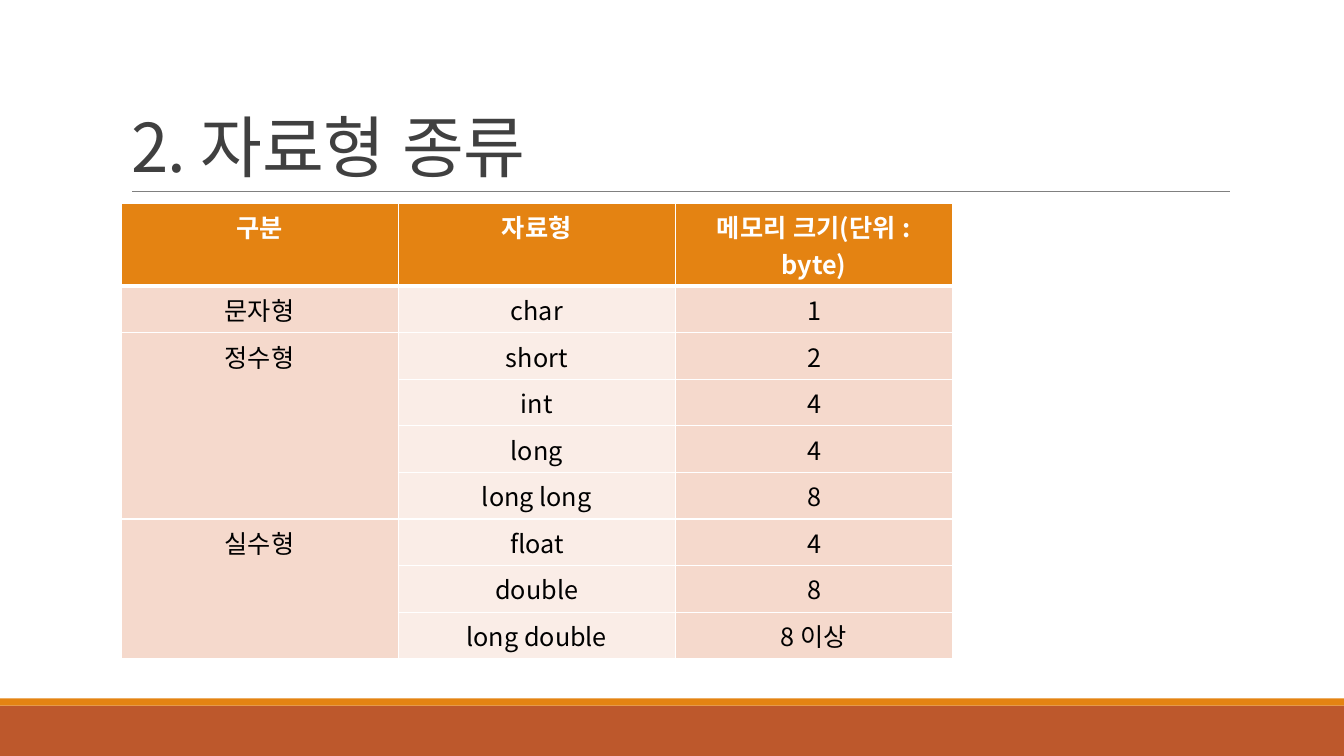
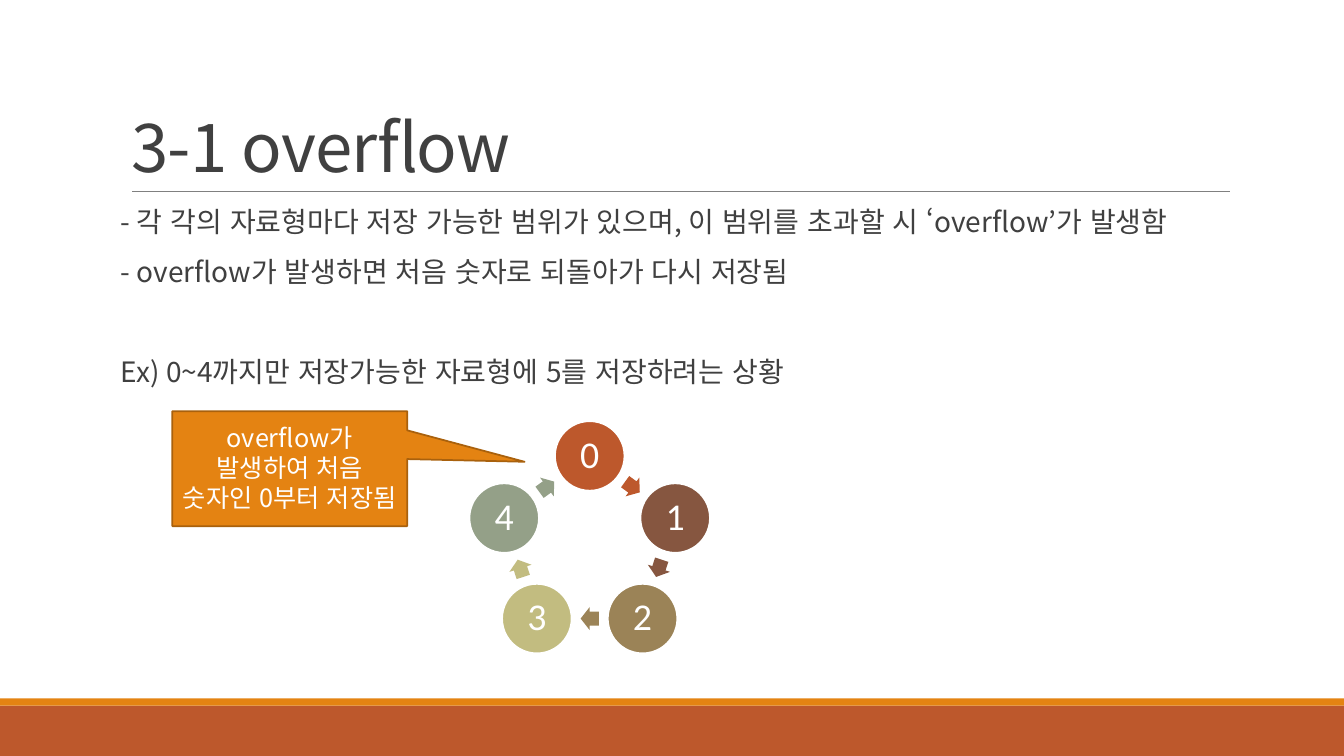
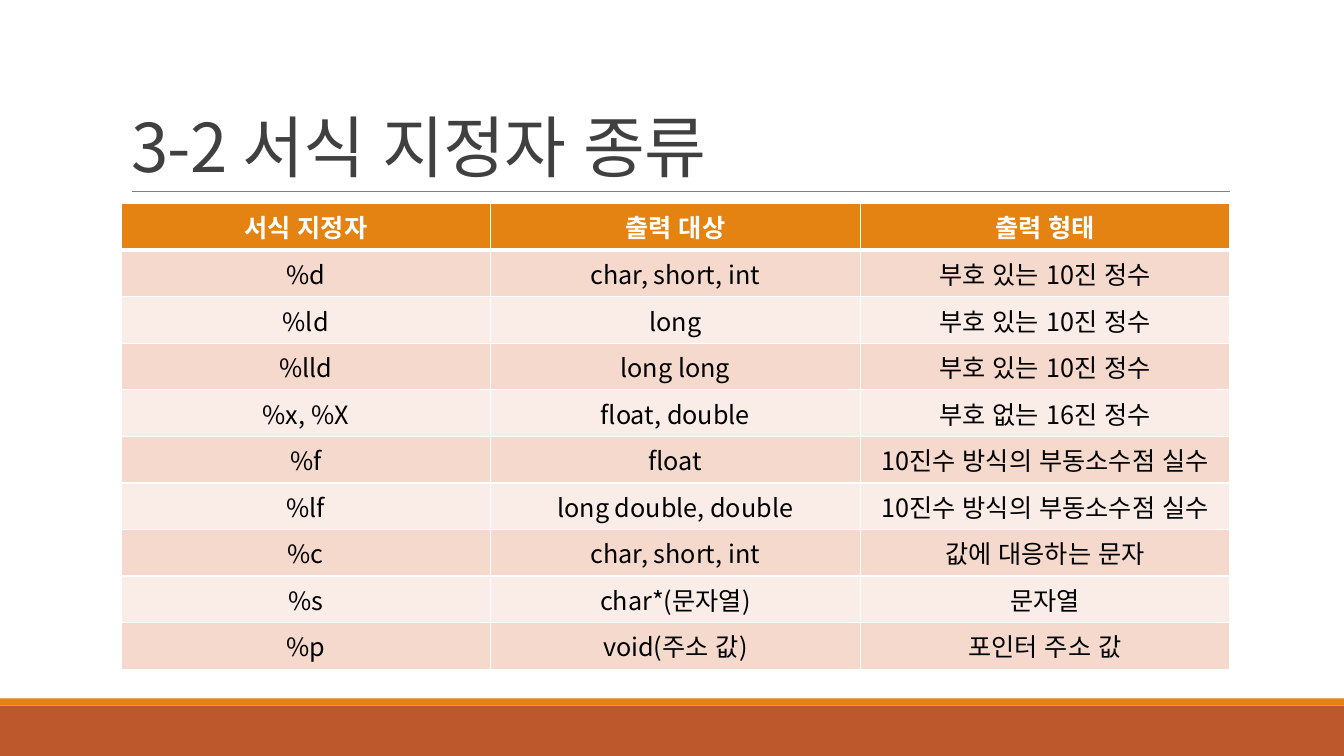
from dataclasses import dataclass
from math import cos, pi, sin

from lxml.etree import SubElement
from pptx import Presentation
from pptx.dml.color import RGBColor
from pptx.enum.lang import MSO_LANGUAGE_ID
from pptx.enum.shapes import MSO_CONNECTOR, MSO_SHAPE
from pptx.enum.text import MSO_ANCHOR, PP_ALIGN
from pptx.oxml.ns import qn
from pptx.shapes.autoshape import Shape
from pptx.slide import Slide
from pptx.table import _Cell
from pptx.text.text import TextFrame, _Paragraph
from pptx.util import Emu, Inches, Pt

WIDE, HIGH = 133.33, 75  # grid cells of a tenth of an inch
LEFT, SPAN, TOP, ROW = 12, 110, 20.2, 4.62


@dataclass(frozen=True)
class Theme:
    rust: str = "BD582C"
    gold: str = "E48312"
    edge: str = "A9610D"
    ink: str = "404040"
    rule: str = "808080"
    white: str = "FFFFFF"
    black: str = "000000"
    tints: tuple[str, ...] = ("F5D9CC", "FAEDE7")
    ring: tuple[str, ...] = ("BD582C", "865640", "9B8357", "C2BC80", "94A088")
    font: str = "Noto Sans CJK KR"
    digit: str = "Calibri"
    title: int = 48
    body: int = 20
    small: int = 18
    count: int = 27


@dataclass(frozen=True)
class Box:
    left: float
    top: float
    width: float
    height: float

    def emu(self) -> tuple[Emu, ...]:
        return tuple(cells(n) for n in (self.left, self.top, self.width, self.height))


@dataclass(frozen=True)
class Style:
    size: int
    color: str
    font: str = Theme.font
    bold: bool = False
    align: PP_ALIGN = PP_ALIGN.LEFT
    lead: float | None = None
    track: int = 0


@dataclass(frozen=True)
class Grid:
    """A table; an empty first cell joins the one above it."""
    width: float
    head: float
    rows: tuple[tuple[str, ...], ...]
    by_row: bool


THEME = Theme()
HEAD = Style(THEME.title, THEME.ink, lead=0.85, track=-50)
BODY = Style(THEME.body, THEME.ink, lead=0.9)
NOTE = Style(THEME.small, THEME.white, align=PP_ALIGN.CENTER, lead=0.99)
COUNT = Style(THEME.count, THEME.white, THEME.digit, align=PP_ALIGN.CENTER, lead=0.9)
TOP_ROW = Style(THEME.small, THEME.white, bold=True, align=PP_ALIGN.CENTER)
CELL = Style(THEME.small, THEME.black, align=PP_ALIGN.CENTER)

TYPES = Grid(82.5, 8.2, (
    ("구분", "자료형", "메모리 크기(단위 : byte)"),
    ("문자형", "char", "1"),
    ("정수형", "short", "2"),
    ("", "int", "4"),
    ("", "long", "4"),
    ("", "long long", "8"),
    ("실수형", "float", "4"),
    ("", "double", "8"),
    ("", "long double", "8 이상"),
), by_row=False)

CODES = Grid(SPAN, ROW, (
    ("서식 지정자", "출력 대상", "출력 형태"),
    ("%d", "char, short, int", "부호 있는 10진 정수"),
    ("%ld", "long", "부호 있는 10진 정수"),
    ("%lld", "long long", "부호 있는 10진 정수"),
    ("%x, %X", "float, double", "부호 없는 16진 정수"),
    ("%f", "float", "10진수 방식의 부동소수점 실수"),
    ("%lf", "long double, double", "10진수 방식의 부동소수점 실수"),
    ("%c", "char, short, int", "값에 대응하는 문자"),
    ("%s", "char*(문자열)", "문자열"),
    ("%p", "void(주소 값)", "포인터 주소 값"),
), by_row=True)

LINES = (
    "- 각 각의 자료형마다 저장 가능한 범위가 있으며, 이 범위를 초과할 시 ‘overflow’가 발생함",
    "- overflow가 발생하면 처음 숫자로 되돌아가 다시 저장됨",
    "Ex) 0~4까지만 저장가능한 자료형에 5를 저장하려는 상황",
)


def cells(n: float) -> Emu:
    return Emu(round(n * Inches(0.1)))


def rgb(code: str) -> RGBColor:
    return RGBColor.from_string(code)


def write(para: _Paragraph, text: str, style: Style) -> None:
    para.text = text
    para.alignment = style.align
    para.line_spacing = style.lead
    for run in para.runs:
        font = run.font
        font.size, font.bold, font.name = Pt(style.size), style.bold, style.font
        font.language_id = MSO_LANGUAGE_ID.KOREAN
        font.color.rgb = rgb(style.color)
        props = run._r.get_or_add_rPr()
        SubElement(props, qn("a:ea")).set("typeface", style.font)
        if style.track:
            props.set("spc", str(style.track))


def add_text(slide: Slide, box: Box) -> TextFrame:
    frame = slide.shapes.add_textbox(*box.emu()).text_frame
    frame.word_wrap = True
    return frame


def add_form(slide: Slide, kind: MSO_SHAPE, box: Box, fill: str, edge: str = "") -> Shape:
    form = slide.shapes.add_shape(kind, *box.emu())
    form.shadow.inherit = False
    form.fill.solid()
    form.fill.fore_color.rgb = rgb(fill)
    if edge:
        form.line.color.rgb = rgb(edge)
        form.line.width = Pt(1.25)
    else:
        form.line.fill.background()
    return form


def add_page(deck: Presentation, title: str) -> Slide:
    """Add a slide with the shared bands, rule and title."""
    slide = deck.slides.add_slide(deck.slide_layouts[6])
    add_form(slide, MSO_SHAPE.RECTANGLE, Box(0, 70, WIDE, 5), THEME.rust)
    add_form(slide, MSO_SHAPE.RECTANGLE, Box(0, 69.3, WIDE, 0.7), THEME.gold)
    rule = slide.shapes.add_connector(
        MSO_CONNECTOR.STRAIGHT, cells(13.1), cells(19), cells(122), cells(19))
    rule.line.color.rgb = rgb(THEME.rule)
    rule.line.width = Pt(0.5)
    SubElement(rule._element.spPr, qn("a:effectLst"))
    frame = add_text(slide, Box(LEFT + 0.05, 3.1, SPAN, 15.9))
    frame.vertical_anchor = MSO_ANCHOR.BOTTOM
    write(frame.paragraphs[0], title, HEAD)
    return slide


def add_edges(cell: _Cell, row: int) -> None:
    """Draw white borders, thicker between the head and the body."""
    props = cell._tc.get_or_add_tcPr()
    for side in "LRTB":
        thick = (row, side) in ((0, "B"), (1, "T"))
        edge = SubElement(props, qn(f"a:ln{side}"), w=str(Pt(3 if thick else 1)))
        fill = SubElement(edge, qn("a:solidFill"))
        SubElement(fill, qn("a:srgbClr"), val=THEME.white)


def add_grid(slide: Slide, grid: Grid) -> None:
    count, wide = len(grid.rows), len(grid.rows[0])
    box = Box(LEFT, TOP, grid.width, grid.head + ROW * (count - 1))
    table = slide.shapes.add_table(count, wide, *box.emu()).table
    start = 0
    for r, row in enumerate(grid.rows):
        table.rows[r].height = cells(ROW if r else grid.head)
        for c, text in enumerate(row):
            cell = table.cell(r, c)
            add_edges(cell, r)
            tint = THEME.tints[(r - 1 if grid.by_row else c) % 2]
            cell.fill.solid()
            cell.fill.fore_color.rgb = rgb(tint if r else THEME.gold)
            if text:
                write(cell.text_frame.paragraphs[0], text, CELL if r else TOP_ROW)
        if row[0]:
            start = r
        elif r + 1 == count or grid.rows[r + 1][0]:
            table.cell(start, 0).merge(table.cell(r, 0))


def add_body(slide: Slide) -> None:
    frame = add_text(slide, Box(LEFT, TOP, SPAN, 44))
    frame.margin_left = frame.margin_right = 0
    for i, text in enumerate(LINES):
        para = frame.paragraphs[0] if i == 0 else frame.add_paragraph()
        write(para, text, BODY)
        para.space_after = Pt(14)
    para.space_before = Pt(35.4)


def around(turn: float, reach: float, width: float, height: float) -> Box:
    """Box centred on the ring at a clockwise angle from its top."""
    x, y = 58.5 + reach * sin(turn), 54.15 - reach * cos(turn)
    return Box(x - width / 2, y - height / 2, width, height)


def add_ring(slide: Slide) -> None:
    step, reach = 2 * pi / len(THEME.ring), 8.92
    for i, color in enumerate(THEME.ring):
        ball = add_form(slide, MSO_SHAPE.OVAL, around(i * step, reach, 6.9, 6.9),
                        color, THEME.white)
        frame = ball.text_frame
        frame.margin_left = frame.margin_right = 0
        frame.margin_top = frame.margin_bottom = 0
        frame.vertical_anchor = MSO_ANCHOR.MIDDLE
        write(frame.paragraphs[0], str(i), COUNT)
        spot = around((i + 0.5) * step, reach * cos(step / 2), 1.8, 2.3)
        arrow = add_form(slide, MSO_SHAPE.RIGHT_ARROW, spot, color)
        arrow.adjustments[0], arrow.adjustments[1] = 0.6, 0.5
        arrow.rotation = (i + 0.5) * 360 / len(THEME.ring)


def add_note(slide: Slide) -> None:
    note = add_form(slide, MSO_SHAPE.RECTANGULAR_CALLOUT, Box(17.1, 40.8, 23.3, 11.4),
                    THEME.gold, THEME.edge)
    note.adjustments[0], note.adjustments[1] = 1, -0.06
    frame = note.text_frame
    frame.word_wrap = True
    frame.vertical_anchor = MSO_ANCHOR.MIDDLE
    write(frame.paragraphs[0], "overflow가 발생하여 처음 숫자인 0부터 저장됨", NOTE)


def main() -> None:
    deck = Presentation()
    deck.slide_width, deck.slide_height = cells(WIDE), cells(HIGH)
    add_grid(add_page(deck, "2. 자료형 종류"), TYPES)
    flow = add_page(deck, "3-1 overflow")
    add_body(flow)
    add_ring(flow)
    add_note(flow)
    add_grid(add_page(deck, "3-2 서식 지정자 종류"), CODES)
    deck.save("out.pptx")


if __name__ == "__main__":
    main()
